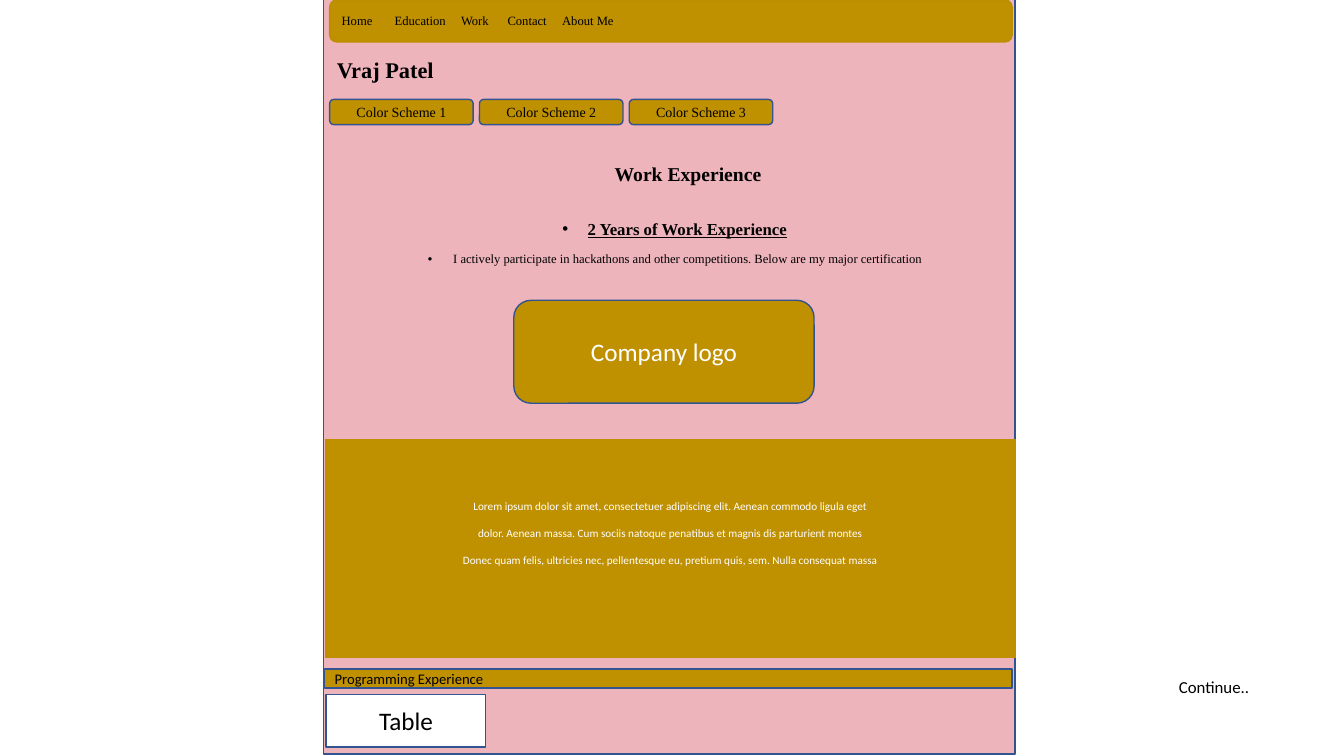
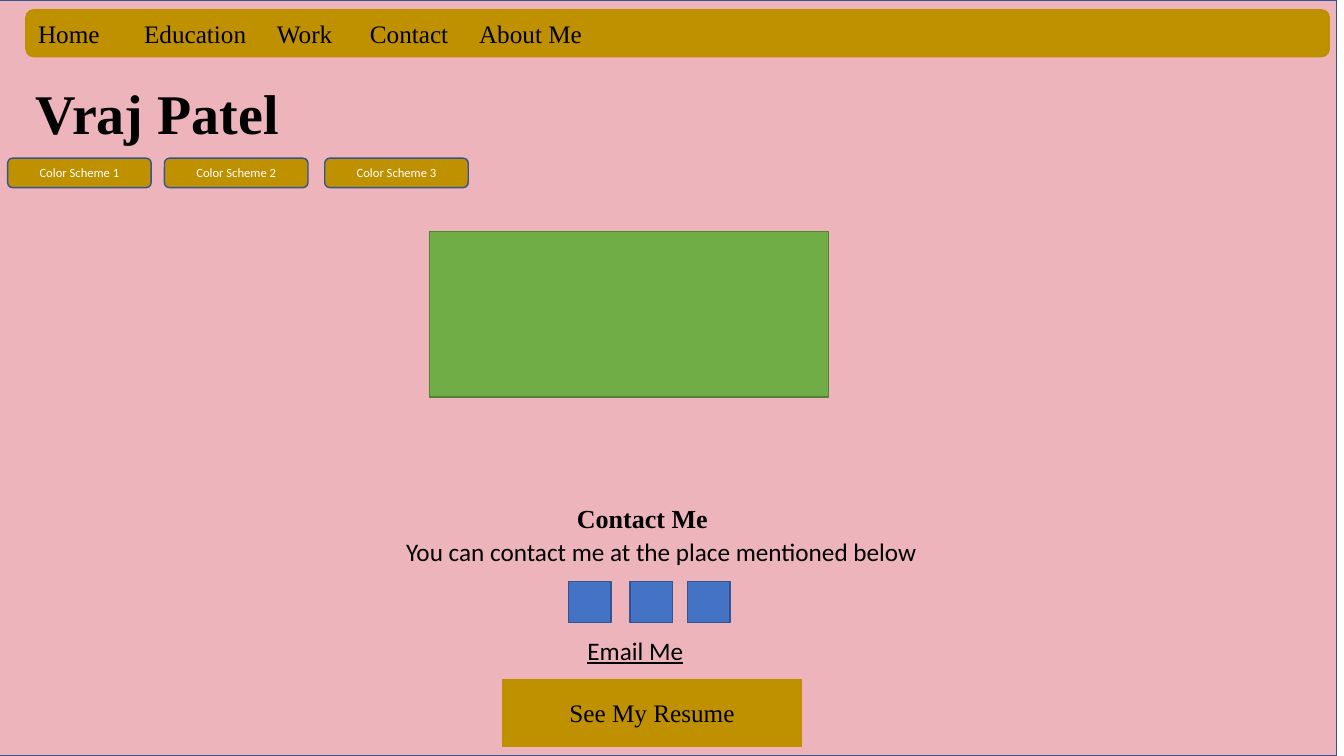
"""Build two wireframe pages of a personal portfolio site."""
from lxml import etree
from pptx import Presentation
from pptx.dml.color import RGBColor
from pptx.enum.shapes import MSO_SHAPE
from pptx.enum.text import MSO_ANCHOR, PP_ALIGN
from pptx.oxml.ns import qn
from pptx.util import Pt

RECT = MSO_SHAPE.RECTANGLE
ROUNDED = MSO_SHAPE.ROUNDED_RECTANGLE
LEFT = PP_ALIGN.LEFT
CENTER = PP_ALIGN.CENTER
MIDDLE = MSO_ANCHOR.MIDDLE

PINK, GOLD, GOLD_EDGE = "EEB4BC", "BF9000", "BD8E00"
BLUE, BLUE_EDGE = "4472C4", "325491"
GREEN, GREEN_EDGE = "70AD47", "538035"
BLACK, WHITE = "000000", "FFFFFF"
SERIF, SANS = "Times New Roman", "Calibri"

NAV_ITEMS = ["Home", "Education", "Work", "Contact", "About Me"]
NAV_STOPS_EM = [4.21, 9.48, 13.17, 17.5]


def color(value):
    """Turn a hex string into a colour."""
    return RGBColor.from_string(value)


def style_para(para, size, font=SERIF, ink=BLACK, align=LEFT, bold=False, underline=False):
    """Format the alignment and the runs of one paragraph."""
    para.alignment = align
    for span in para.runs:
        span.font.size = Pt(size)
        span.font.name = font
        span.font.bold = bold
        span.font.underline = underline
        span.font.color.rgb = color(ink)


def add_panel(page, kind, bounds, fill, edge):
    """Add a filled and outlined shape."""
    panel = page.shapes.add_shape(kind, *map(Pt, bounds))
    panel.shadow.inherit = False
    panel.fill.solid()
    panel.fill.fore_color.rgb = color(fill)
    panel.line.color.rgb = color(edge)
    panel.line.width = Pt(1)
    panel.text_frame.vertical_anchor = MIDDLE
    return panel


def add_label_panel(page, kind, bounds, fill, edge, text, size, align=CENTER, **style):
    """Add a shape whose paragraphs share one text style."""
    frame = add_panel(page, kind, bounds, fill, edge).text_frame
    frame.text = text
    for para in frame.paragraphs:
        style_para(para, size, align=align, **style)
    return frame


def add_text(page, bounds, text, size, **style):
    """Add a wrapping text box with one paragraph."""
    frame = page.shapes.add_textbox(*map(Pt, bounds)).text_frame
    frame.word_wrap = True
    frame.text = text
    style_para(frame.paragraphs[0], size, **style)
    return frame


def add_bullet(para):
    """Give a paragraph a hanging round bullet."""
    props = para._p.get_or_add_pPr()
    props.set("marL", str(Pt(18)))
    props.set("indent", str(-Pt(18)))
    etree.SubElement(props, qn("a:buFont"), typeface="Arial")
    etree.SubElement(props, qn("a:buChar"), char="•")


def add_nav_bar(page, bounds, size):
    """Add the menu bar with its entries at tab stops."""
    frame = add_label_panel(page, ROUNDED, bounds, GOLD, GOLD_EDGE,
                            "\t".join(NAV_ITEMS), size, LEFT)
    props = frame.paragraphs[0]._p.get_or_add_pPr()
    tabs = etree.SubElement(props, qn("a:tabLst"))
    for stop in NAV_STOPS_EM:
        etree.SubElement(tabs, qn("a:tab"), pos=str(Pt(stop * size)), algn="l")


def add_scheme_buttons(page, lefts, top, height, size, **style):
    """Add the row of color scheme buttons."""
    for number, left in enumerate(lefts, 1):
        add_label_panel(page, ROUNDED, (left, top, 102.5, height), GOLD, BLUE_EDGE,
                        f"Color Scheme {number}", size, **style)


def add_experience(page):
    """Add the work experience heading and its bullets."""
    heading = add_text(page, (283.5, 114, 416, 30), "Work Experience", 14,
                       align=CENTER, bold=True)
    heading.paragraphs[0].line_spacing = 0.9
    frame = add_text(page, (248.5, 154, 467, 73), "2 Years of Work Experience", 12,
                     align=CENTER, bold=True, underline=True)
    detail = frame.add_paragraph()
    detail.text = ("I actively participate in hackathons and other competitions. "
                   "Below are my major certification")
    style_para(detail, 9, align=CENTER)
    detail.space_before = Pt(10)
    for para in frame.paragraphs:
        para.line_spacing = 0.9
        add_bullet(para)


def add_description(page):
    """Add the wide band of filler text."""
    lines = [
        "Lorem ipsum dolor sit amet, consectetuer adipiscing elit. Aenean commodo ligula eget",
        "dolor. Aenean massa. Cum sociis natoque penatibus et magnis dis parturient montes",
        "Donec quam felis, ultricies nec, pellentesque eu, pretium quis, sem. Nulla consequat massa",
    ]
    frame = add_label_panel(page, RECT, (232.5, 314, 493, 155.5), GOLD, GOLD_EDGE,
                            "\n".join(lines), 8, font=SANS, ink=WHITE)
    frame.margin_bottom = Pt(25.5)
    for para in frame.paragraphs[1:]:
        para.space_before = Pt(9.75)


def build_work_page(page):
    """Build the work experience page."""
    add_panel(page, RECT, (231, -1.5, 494, 540), PINK, BLUE_EDGE)
    add_experience(page)
    add_nav_bar(page, (235.5, 0, 487.5, 30), 9)
    add_text(page, (233.5, 36.5, 247, 26.5), "Vraj Patel", 16, bold=True)
    add_scheme_buttons(page, (235.5, 342.5, 449.5), 71, 18, 10)
    add_text(page, (835, 479.5, 86, 22), "Continue..", 12, font=SANS)
    add_description(page)
    add_label_panel(page, ROUNDED, (367, 214.5, 214.5, 73.5), GOLD, BLUE_EDGE,
                    "Company logo", 18, font=SANS, ink=WHITE)
    add_label_panel(page, RECT, (232, 478, 491, 13.5), GOLD, BLUE_EDGE,
                    "Programming Experience", 10.5, LEFT, font=SANS)
    add_label_panel(page, RECT, (233, 496, 114, 37.5), WHITE, BLUE_EDGE,
                    "Table", 18, font=SANS)


def build_contact_page(page):
    """Build the contact page."""
    add_panel(page, RECT, (-5.5, 0, 960, 540), PINK, BLUE_EDGE)
    add_nav_bar(page, (18.5, 7, 931, 33.5), 18)
    add_text(page, (18.5, 52.5, 300, 55.5), "Vraj Patel", 40, bold=True)
    add_scheme_buttons(page, (5.5, 117.5, 232), 113, 21, 9, font=SANS, ink=WHITE)
    add_panel(page, RECT, (307, 165.5, 285, 118), GREEN, GREEN_EDGE)
    add_text(page, (405, 355, 200, 29), "Contact Me", 18.6, bold=True)
    add_text(page, (283, 379.5, 394, 29), "You can contact me at the place mentioned below",
             18, font=SANS)
    for left in (406, 450, 491):
        add_panel(page, RECT, (left, 415.5, 30.5, 29), BLUE, BLUE_EDGE)
    add_text(page, (412.5, 450, 359, 29), "Email Me", 18, font=SANS, underline=True)
    add_label_panel(page, RECT, (359, 485.5, 213.5, 47.5), GOLD, GOLD_EDGE,
                    "See My Resume", 18)


def main():
    """Create the deck and save it."""
    deck = Presentation()
    deck.slide_width, deck.slide_height = Pt(960), Pt(540)
    for build in (build_work_page, build_contact_page):
        build(deck.slides.add_slide(deck.slide_layouts[6]))
    deck.save("out.pptx")


if __name__ == "__main__":
    main()
